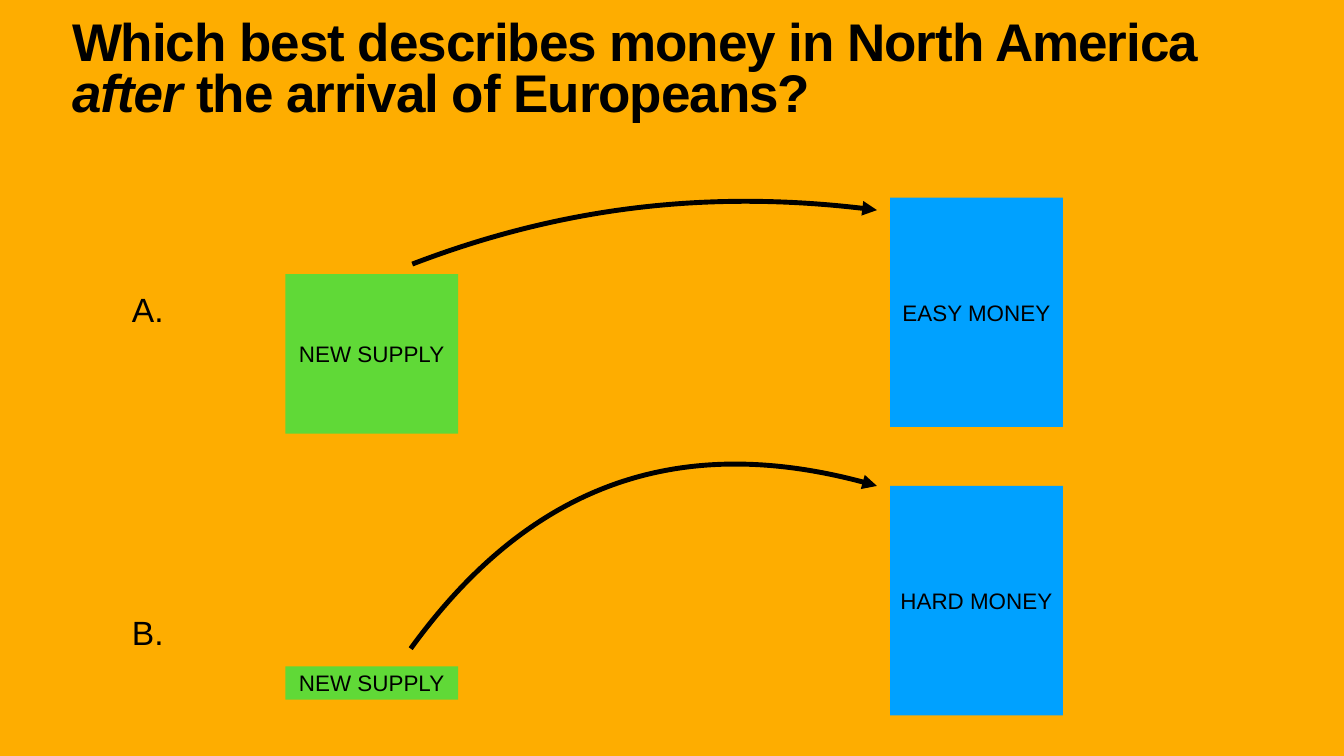
"""Build a quiz slide comparing two pictures of money supply."""
import pptx
import pptx.dml.color
import pptx.enum.shapes
import pptx.enum.text
import pptx.oxml.ns
import pptx.util
from lxml import etree
from pptx.util import Cm

BLACK, ORANGE, GREEN, BLUE = "000000", "FEAD00", "60D937", "00A1FF"
FONT = "Arial"
MARGIN = 0.15
TITLE = [
    ("Which best describes money in North America ", False),
    ("after", True),
    (" the arrival of Europeans?", False),
]
LABEL_LEFT, SUPPLY_LEFT, MONEY_LEFT = 6.5, 14.38, 44.86
BLOCK_WIDTH, MONEY_HEIGHT = 8.71, 11.56
OPTIONS = [
    {
        "label": ("A.", 14.61),
        "supply": ("NEW SUPPLY", 13.82, 8.03),
        "money": ("EASY MONEY", 9.96),
        "curve": [(20.78, 13.31), (28.35, 10.41), (36.17, 9.53), (44.2, 10.59)],
        "crest": 10.16,
    },
    {
        "label": ("B.", 30.84),
        "supply": ("NEW SUPPLY", 33.58, 1.68),
        "money": ("HARD MONEY", 24.49),
        "curve": [(20.7, 32.69), (26.72, 24.38), (34.54, 21.67), (44.2, 24.49)],
        "crest": 23.39,
    },
]


def paint(color_format, color):
    color_format.rgb = pptx.dml.color.RGBColor.from_string(color)


def write(shape, runs, size, align="LEFT", anchor="MIDDLE", spacing=1.0,
          bold=False, tracking=0, wrap=True):
    frame = shape.text_frame
    frame.word_wrap = wrap
    frame.vertical_anchor = getattr(pptx.enum.text.MSO_ANCHOR, anchor)
    frame.margin_left = frame.margin_right = Cm(MARGIN)
    frame.margin_top = frame.margin_bottom = Cm(MARGIN)
    para = frame.paragraphs[0]
    para.alignment = getattr(pptx.enum.text.PP_ALIGN, align)
    para.line_spacing = spacing
    for text, italic in runs:
        span = para.add_run()
        span.text = text
        span.font.name = FONT
        span.font.size = pptx.util.Pt(size)
        span.font.bold = bold
        span.font.italic = italic
        paint(span.font.color, BLACK)
        if tracking:
            span.font._element.set("spc", str(round(tracking * 100)))


def add_text(page, left, top, width, height):
    return page.shapes.add_textbox(Cm(left), Cm(top), Cm(width), Cm(height))


def add_block(page, text, left, top, height, color):
    block = page.shapes.add_shape(
        pptx.enum.shapes.MSO_SHAPE.RECTANGLE,
        Cm(left), Cm(top), Cm(BLOCK_WIDTH), Cm(height))
    block.shadow.inherit = False
    block.fill.solid()
    paint(block.fill.fore_color, color)
    block.line.fill.background()
    write(block, [(text, False)], 32, align="CENTER")


def add_curve(page, points, crest):
    start, *bends = [(Cm(x), Cm(y)) for x, y in points]
    builder = page.shapes.build_freeform(*start)
    builder.add_line_segments([(bends[0][0], Cm(crest)), bends[-1]], close=False)
    curve = builder.convert_to_shape()
    curve.shadow.inherit = False
    curve.fill.background()
    paint(curve.line.color, BLACK)
    curve.line.width = pptx.util.Pt(7)

    name = pptx.oxml.ns.qn
    outline = curve._element.find(".//" + name("a:path"))
    for segment in outline.findall(name("a:lnTo")):
        outline.remove(segment)
    bezier = etree.SubElement(outline, name("a:cubicBezTo"))
    for x, y in bends:
        etree.SubElement(bezier, name("a:pt"),
                         x=str(x - curve.left), y=str(y - curve.top))
    etree.SubElement(curve.line._get_or_add_ln(), name("a:tailEnd"),
                     type="triangle")


def main():
    deck = pptx.Presentation()
    deck.slide_width, deck.slide_height = Cm(67.74), Cm(38.1)
    page = deck.slides.add_slide(deck.slide_layouts[6])
    page.background.fill.solid()
    paint(page.background.fill.fore_color, ORANGE)

    write(add_text(page, 3.48, 0.91, 60.76, 6.07), TITLE, 75.7,
          anchor="TOP", spacing=0.8, bold=True, tracking=-1.5)
    for option in OPTIONS:
        text, top = option["label"]
        write(add_text(page, LABEL_LEFT, top, 1.9, 2.24), [(text, False)], 48,
              spacing=0.9, wrap=False)
        text, top, height = option["supply"]
        add_block(page, text, SUPPLY_LEFT, top, height, GREEN)
        text, top = option["money"]
        add_block(page, text, MONEY_LEFT, top, MONEY_HEIGHT, BLUE)
        add_curve(page, option["curve"], option["crest"])
    deck.save("out.pptx")


if __name__ == "__main__":
    main()
